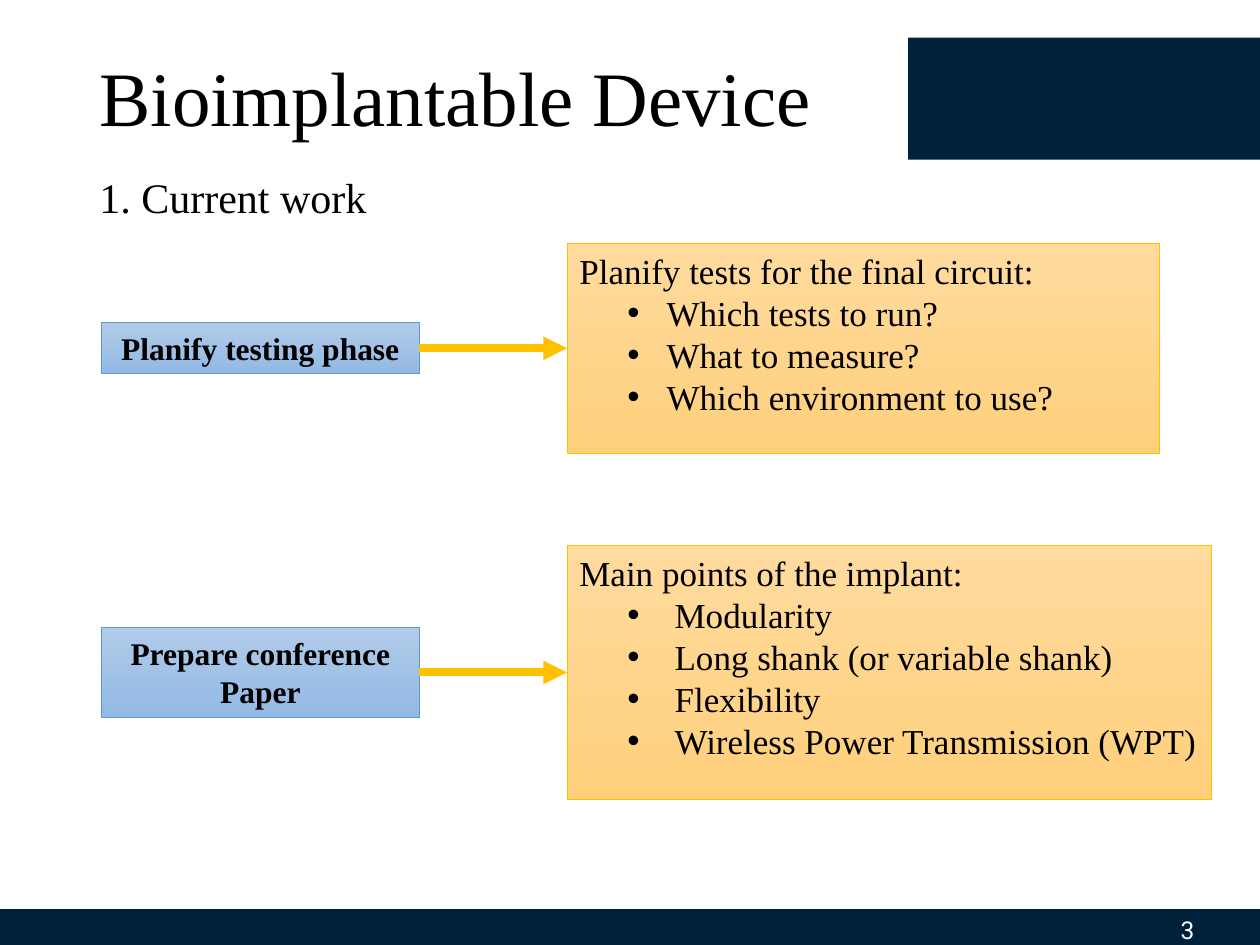
from lxml import etree
from pptx import Presentation
from pptx.dml.color import RGBColor
from pptx.enum.shapes import MSO_CONNECTOR, MSO_SHAPE
from pptx.enum.text import MSO_ANCHOR, MSO_AUTO_SIZE, PP_ALIGN
from pptx.oxml.ns import qn
from pptx.util import Cm, Pt

RECTANGLE = MSO_SHAPE.RECTANGLE
STRAIGHT = MSO_CONNECTOR.STRAIGHT
TOP, MIDDLE = MSO_ANCHOR.TOP, MSO_ANCHOR.MIDDLE
LEFT, CENTER, RIGHT = PP_ALIGN.LEFT, PP_ALIGN.CENTER, PP_ALIGN.RIGHT
NO_AUTOFIT = MSO_AUTO_SIZE.NONE

NAVY = RGBColor(0x00, 0x21, 0x3B)
WHITE = RGBColor(0xFF, 0xFF, 0xFF)
BLACK = RGBColor(0x00, 0x00, 0x00)
GOLD = RGBColor(0xFF, 0xC0, 0x00)
BLUE = RGBColor(0x5B, 0x9B, 0xD5)
GOLD_GRADIENT = (RGBColor(0xFF, 0xDB, 0x9E), RGBColor(0xFF, 0xD0, 0x7C))
BLUE_GRADIENT = (RGBColor(0xB1, 0xCB, 0xE9), RGBColor(0x93, 0xB9, 0xE4))

SERIF, SANS = "Times New Roman", "Roboto"
SLIDE_WIDTH, SLIDE_HEIGHT = 25.4, 19.05
LABEL_LEFT, LABEL_WIDTH, PANEL_LEFT = 2.05, 6.4, 11.43
RIGHT_SIDE, LEFT_SIDE = 3, 1

TITLE = "Bioimplantable Device"
SUBTITLE = "1. Current work"
PAGE_NUMBER = "3"
TASKS = [
    {
        "label": "Planify testing phase", "label_height": 1.02,
        "heading": "Planify tests for the final circuit:",
        "points": ["Which tests to run?", "What to measure?", "Which environment to use?"],
        "top": 4.9, "width": 11.94, "height": 4.24, "indent": 0.79,
    },
    {
        "label": "Prepare conference Paper", "label_height": 1.8,
        "heading": "Main points of the implant:",
        "points": ["Modularity", "Long shank (or variable shank)", "Flexibility",
                   "Wireless Power Transmission (WPT)"],
        "top": 11.0, "width": 13.0, "height": 5.11, "indent": 0.95,
    },
]
BULLET_LEFT = 0.97


def write(shape, text, bullets=(), indent=0, size=20, font=SERIF, color=BLACK,
          bold=False, align=LEFT, anchor=TOP, line_spacing=1.0):
    frame = shape.text_frame
    frame.word_wrap = True
    frame.auto_size = NO_AUTOFIT
    frame.vertical_anchor = anchor
    for index, line in enumerate([text, *bullets]):
        paragraph = frame.add_paragraph() if index else frame.paragraphs[0]
        properties = paragraph._p.get_or_add_pPr()
        if index:
            paragraph.level = 1
            properties.set("marL", str(Cm(BULLET_LEFT + indent)))
            properties.set("indent", str(-Cm(indent)))
            etree.SubElement(properties, qn("a:buFont"), typeface="Arial")
            etree.SubElement(properties, qn("a:buChar"), char="•")
        else:
            properties.set("marL", "0")
            properties.set("indent", "0")
            etree.SubElement(properties, qn("a:buNone"))
        paragraph.alignment = align
        paragraph.line_spacing = line_spacing
        paragraph.space_before = Pt(0)
        run = paragraph.add_run()
        run.text = line
        run.font.size = Pt(size)
        run.font.name = font
        run.font.bold = bold
        run.font.color.rgb = color


def place(shape, left, top, width, height):
    shape.left, shape.top = Cm(left), Cm(top)
    shape.width, shape.height = Cm(width), Cm(height)


def add_box(slide, left, top, width, height, gradient=None, line=None):
    shape = slide.shapes.add_shape(RECTANGLE, Cm(left), Cm(top), Cm(width), Cm(height))
    shape.shadow.inherit = False
    if gradient:
        shape.fill.gradient()
        shape.fill.gradient_angle = 270
        for stop, color in zip(shape.fill.gradient_stops, gradient):
            stop.color.rgb = color
        shape.line.color.rgb = line
        shape.line.width = Pt(0.5)
    else:
        shape.fill.solid()
        shape.fill.fore_color.rgb = NAVY
        shape.line.fill.background()
    return shape


def add_arrow(slide, label, panel):
    arrow = slide.shapes.add_connector(STRAIGHT, 0, 0, 0, 0)
    arrow.begin_connect(label, RIGHT_SIDE)
    arrow.end_connect(panel, LEFT_SIDE)
    arrow.line.color.rgb = GOLD
    arrow.line.width = Pt(4.5)
    etree.SubElement(arrow.line._get_or_add_ln(), qn("a:tailEnd"), type="triangle")
    etree.SubElement(arrow._element.spPr, qn("a:effectLst"))


def add_task(slide, task):
    panel = add_box(slide, PANEL_LEFT, task["top"], task["width"], task["height"],
                    GOLD_GRADIENT, GOLD)
    write(panel, task["heading"], bullets=task["points"], indent=task["indent"])
    label_top = task["top"] + (task["height"] - task["label_height"]) / 2
    label = add_box(slide, LABEL_LEFT, label_top, LABEL_WIDTH, task["label_height"],
                    BLUE_GRADIENT, BLUE)
    write(label, task["label"], size=18, bold=True, align=CENTER)
    add_arrow(slide, label, panel)


def main():
    presentation = Presentation()
    presentation.slide_width, presentation.slide_height = Cm(SLIDE_WIDTH), Cm(SLIDE_HEIGHT)
    slide = presentation.slides.add_slide(presentation.slide_layouts[1])

    title, subtitle = slide.placeholders
    place(title, 1.75, 0.2, 21.9, 3.68)
    write(title, TITLE, size=44, anchor=MIDDLE, line_spacing=0.9)
    place(subtitle, 1.75, 3.33, 14.78, 1.27)
    write(subtitle, SUBTITLE, size=24)

    add_box(slide, 18.31, 0.76, SLIDE_WIDTH - 18.31, 2.46)
    footer_top = 18.33
    add_box(slide, 0, footer_top, SLIDE_WIDTH, SLIDE_HEIGHT - footer_top)
    number = slide.shapes.add_textbox(Cm(19.05), Cm(footer_top), Cm(5.28), Cm(0.79))
    write(number, PAGE_NUMBER, size=14, font=SANS, color=WHITE, align=RIGHT)

    for task in TASKS:
        add_task(slide, task)
    presentation.save("out.pptx")


if __name__ == "__main__":
    main()
